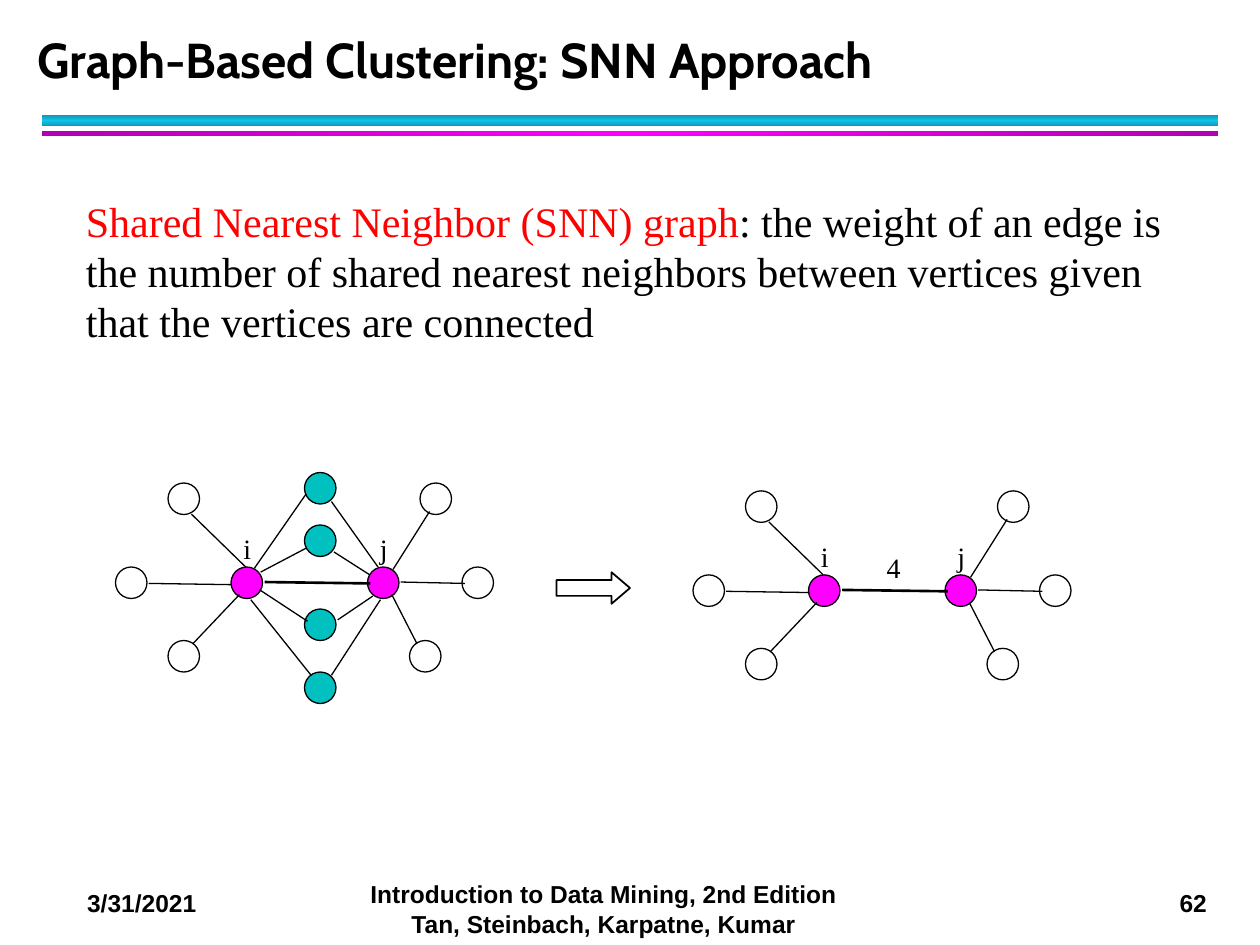
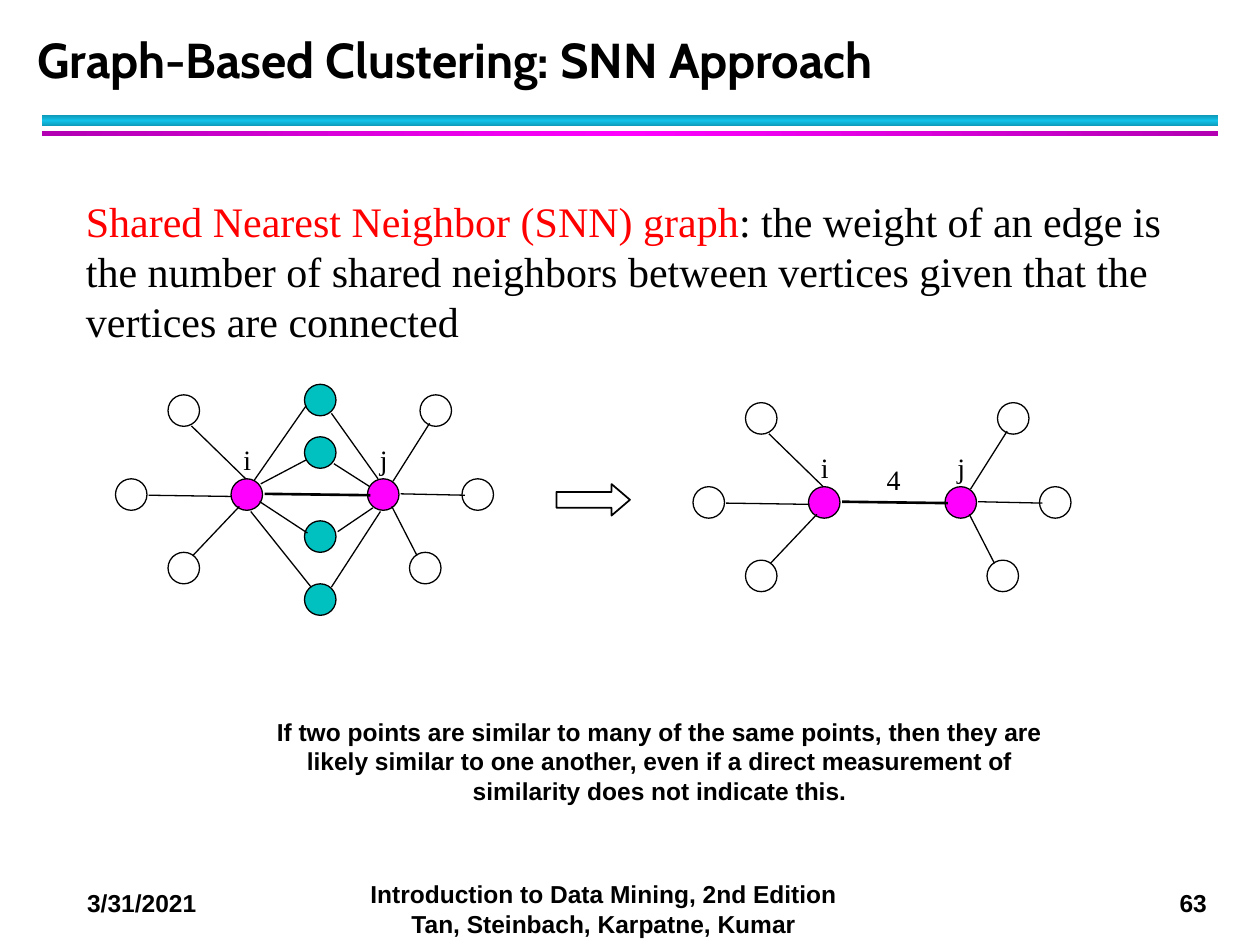
import copy

import pptx
import pptx.dml.color
import pptx.enum.shapes
import pptx.enum.text
import pptx.oxml.ns
import pptx.util

Pt = pptx.util.Pt
RGB = pptx.dml.color.RGBColor
SHAPE = pptx.enum.shapes.MSO_SHAPE
ALIGN = pptx.enum.text.PP_ALIGN
ANCHOR = pptx.enum.text.MSO_ANCHOR
qn = pptx.oxml.ns.qn

BLACK = RGB(0x00, 0x00, 0x00)
RED = RGB(0xFF, 0x00, 0x00)
MAGENTA = RGB(0xFF, 0x00, 0xFF)
DARK_MAGENTA = RGB(0xB2, 0x00, 0xB2)
CYAN = RGB(0x12, 0xC2, 0xE9)
DARK_CYAN = RGB(0x0E, 0x9B, 0xBA)
TEAL = RGB(0x00, 0xC0, 0xC0)
SERIF, SANS, TITLE_FONT = "Times New Roman", "Arial", "Cabin"

# Content
TITLE = "Graph-Based Clustering: SNN Approach"
DATE = "3/31/2021"
FOOTER = "Introduction to Data Mining, 2nd Edition Tan, Steinbach, Karpatne, Kumar"
TERM = "Shared Nearest Neighbor (SNN) graph"
SLIDES = [
    {
        "number": "62",
        "definition": ": the weight of an edge is the number of shared nearest neighbors "
                      "between vertices given that the vertices are connected",
        "graph_top": 324,
        "remark": None,
    },
    {
        "number": "63",
        "definition": ": the weight of an edge is the number of shared neighbors "
                      "between vertices given that the vertices are connected",
        "graph_top": 273.6,
        "remark": "If two points are similar to many of the same points, then they are "
                  "likely similar to one another, even if a direct measurement of "
                  "similarity does not indicate this.",
    },
]

# Graph geometry, measured from the top left of node i
NODE = 18
J_X = 78
LABEL_W, LABEL_H = 24, 26.6
END_NODES = [(0, 0), (J_X, 0)]
SHARED_NODES = [(42, y) for y in (-54, -24, 24, 60)]
OUTER_NODES = [(-36, 42), (-66, 0), (-36, -48), (108, -48), (102, 42), (132, 0)]
IJ_EDGE = (19.2, 8.6, 79.7, 9.4)
OUTER_EDGES = [
    (-21.8, 43.9, 4.8, 15.8), (-47, 9.4, 0.5, 10.1), (-22.6, -30.2, 8.4, 0),
    (97, 8.6, 133.7, 9.4), (106.3, 43.9, 91.9, 15.8), (92.6, 1.4, 113.5, -31.7),
]
SHARED_EDGES = [
    (17, 2.9, 43, -10.8), (16.3, 13, 43.7, 31),
    (45.8, 61.9, 11.3, 18.7), (13.4, 0.7, 43, -41.8),
    (61, 30.2, 81.1, 16.6), (57.4, 61.9, 85.4, 18.7),
    (79, 4.3, 58.8, -8.6), (84, 0, 57.4, -37.4),
]
LEFT_GRAPH_X, RIGHT_GRAPH_X, RIGHT_GRAPH_DROP = 132, 462, 4.5


def add_text(shapes, text, x, y, w, h, font=SANS, size=14, color=BLACK, bold=False,
             align=ALIGN.LEFT, anchor=ANCHOR.TOP, wrap=True, line_spacing=None):
    """text is a string, or a list of (string, colour) runs."""
    tf = shapes.add_textbox(Pt(x), Pt(y), Pt(w), Pt(h)).text_frame
    tf.word_wrap = wrap
    tf.vertical_anchor = anchor
    p = tf.paragraphs[0]
    p.alignment = align
    if line_spacing:
        p.line_spacing = Pt(line_spacing)
    for part, part_color in [(text, color)] if isinstance(text, str) else text:
        r = p.add_run()
        r.text = part
        r.font.name, r.font.size, r.font.bold = font, Pt(size), bold
        r.font.color.rgb = part_color


def add_shape(shapes, kind, x, y, w, h, fill=None, line=None):
    sp = shapes.add_shape(kind, Pt(x), Pt(y), Pt(w), Pt(h))
    sp.shadow.inherit = False
    if fill is None:
        sp.fill.background()
    else:
        sp.fill.solid()
        sp.fill.fore_color.rgb = fill
    if line is None:
        sp.line.fill.background()
    else:
        sp.line.color.rgb = BLACK
        sp.line.width = Pt(line)
    return sp


def add_band(shapes, y, h, edge, middle, angle):
    sp = add_shape(shapes, SHAPE.RECTANGLE, 24, y, 672, h)
    sp.fill.gradient()
    sp.fill.gradient_angle = angle
    first, second = sp.fill.gradient_stops
    first.color.rgb, first.position = edge, 0
    second.color.rgb, second.position = middle, 0.5
    stops = sp.element.spPr.find(".//" + qn("a:gsLst"))
    last = copy.deepcopy(stops[0])
    last.set("pos", "100000")
    stops.append(last)


def add_edge(shapes, x1, y1, x2, y2, width=0.75):
    c = shapes.add_connector(pptx.enum.shapes.MSO_CONNECTOR.STRAIGHT,
                             Pt(x1), Pt(y1), Pt(x2), Pt(y2))
    c.line.color.rgb = BLACK
    c.line.width = Pt(width)
    c.element.spPr.append(pptx.oxml.parse_xml(
        '<a:effectLst xmlns:a="http://schemas.openxmlformats.org/drawingml/2006/main"/>'))


def add_graph(s, x, y, shared=False, weight=None):
    shapes = s.shapes.add_group_shape().shapes
    nodes = [(END_NODES, MAGENTA), (OUTER_NODES, None)]
    edges = [(e, 0.75) for e in OUTER_EDGES] + [(IJ_EDGE, 1.5)]
    if shared:
        nodes.append((SHARED_NODES, TEAL))
        edges += [(e, 0.75) for e in SHARED_EDGES]
    for places, fill in nodes:
        for dx, dy in places:
            add_shape(shapes, SHAPE.OVAL, x + dx, y + dy, NODE, NODE, fill, 0.75)
    for (x1, y1, x2, y2), width in edges:
        add_edge(shapes, x + x1, y + y1, x + x2, y + y2, width)
    labels = [("i", 0, -24), ("j", J_X, -24)]
    if weight:
        labels.append((weight, 37.5, -17.3))
    for text, dx, dy in labels:
        add_text(shapes, text, x + dx, y + dy, LABEL_W, LABEL_H, font=SERIF, size=16)


def add_frame(s, number):
    """Title, bands and footer shared by all slides."""
    shapes = s.shapes
    add_band(shapes, 66, 6, DARK_CYAN, CYAN, 90)
    add_band(shapes, 75, 3, DARK_MAGENTA, MAGENTA, 0)
    add_text(shapes, TITLE, 14.4, 12, 680, 42, font=TITLE_FONT, size=28, bold=True,
             anchor=ANCHOR.BOTTOM, line_spacing=36)
    add_text(shapes, DATE, 33, 504, 96, 24.5, bold=True, align=ALIGN.CENTER)
    add_text(shapes, FOOTER, 198, 499, 294, 41, bold=True, align=ALIGN.CENTER)
    add_text(shapes, number, 666, 504, 31.7, 24.5, bold=True, align=ALIGN.CENTER, wrap=False)


def main():
    prs = pptx.Presentation()
    prs.slide_width, prs.slide_height = Pt(720), Pt(540)
    for content in SLIDES:
        s = prs.slides.add_slide(prs.slide_layouts[6])
        add_frame(s, content["number"])
        add_text(s.shapes, [(TERM, RED), (content["definition"], BLACK)],
                 42, 108, 636, 94, font=SERIF, size=24)

        # Neighbor graph, arrow, weighted graph
        top = content["graph_top"]
        add_graph(s, LEFT_GRAPH_X, top, shared=True)
        arrow = add_shape(s.shapes, SHAPE.RIGHT_ARROW, 318, top + 3, 42, 18, line=1)
        arrow.adjustments[1] = 0.583
        add_graph(s, RIGHT_GRAPH_X, top + RIGHT_GRAPH_DROP, weight="4")

        if content["remark"]:
            add_text(s.shapes, content["remark"], 144, 406, 466, 58, bold=True,
                     align=ALIGN.CENTER)
    prs.save("out.pptx")


if __name__ == "__main__":
    main()
